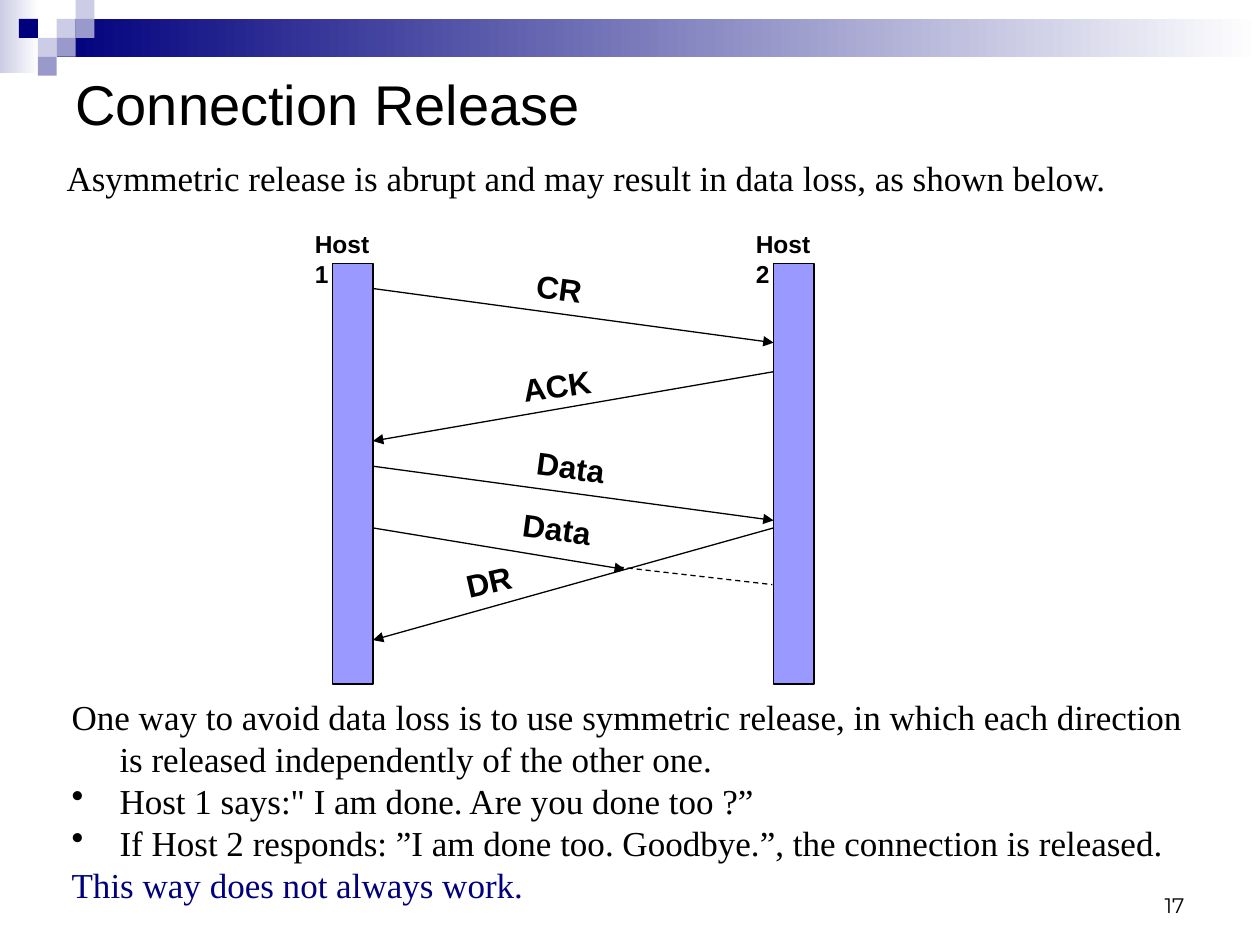
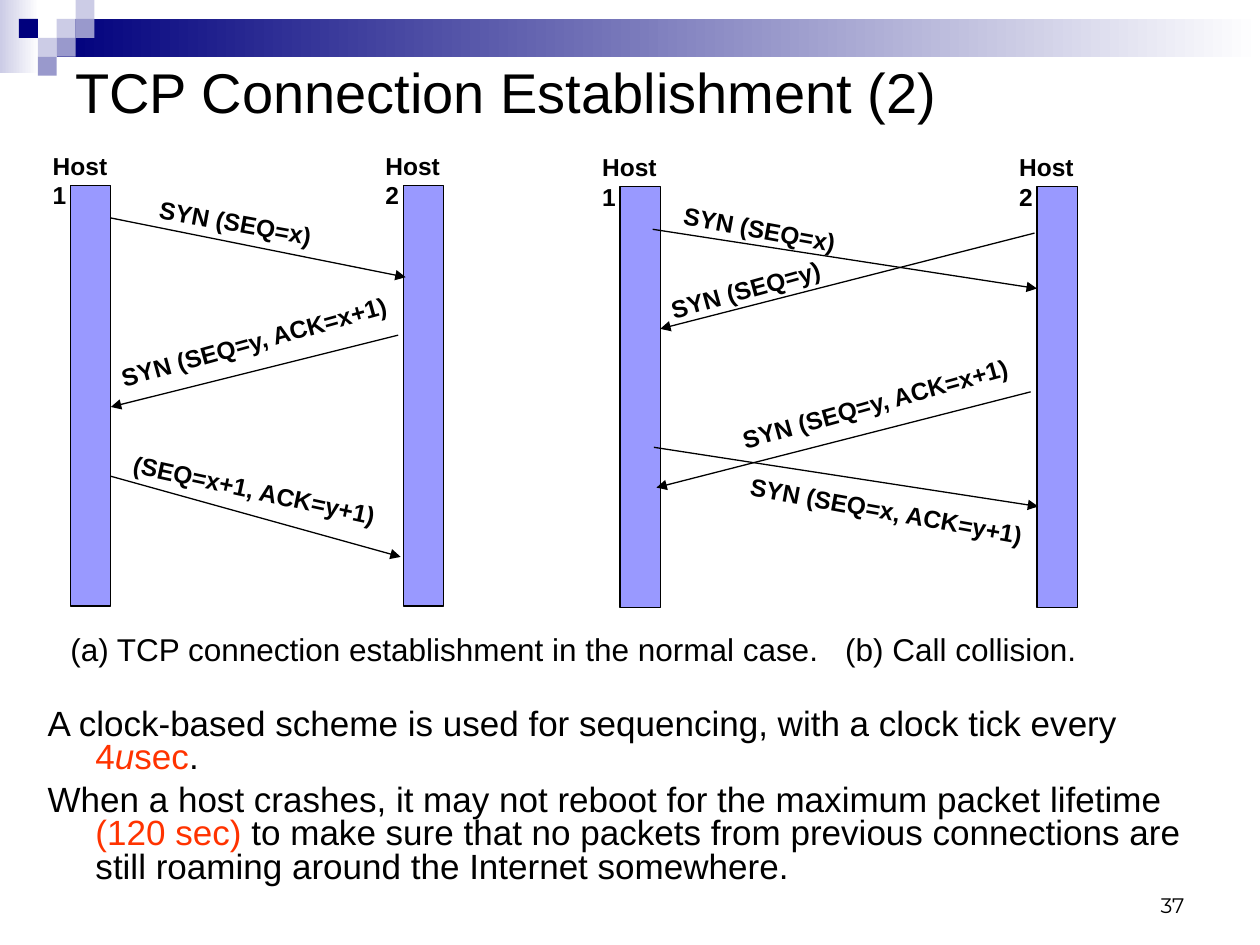
from typing import NamedTuple

from lxml.etree import SubElement
from pptx import Presentation
from pptx.dml.color import RGBColor
from pptx.enum.dml import MSO_LINE
from pptx.enum.shapes import MSO_CONNECTOR, MSO_SHAPE
from pptx.enum.text import MSO_ANCHOR, PP_ALIGN
from pptx.oxml.ns import qn
from pptx.util import Emu, Pt

SCALE = 9144  # EMU in one px, 100 px to the inch
CELL = 15
BAR_W, BAR_H = 32, 334
INDENT = 38
COLORS = {
    "black": "000000", "white": "FFFFFF", "navy": "00007D", "pale": "CCCCE6",
    "mid": "9999CC", "bar": "9999FF", "red": "FF3300",
}


class Box(NamedTuple):
    left: int
    top: int
    width: int
    height: int


class Font(NamedTuple):
    name: str
    size: int
    bold: bool = False


class Run(NamedTuple):
    text: str
    color: str = "black"
    slant: bool = False


class Para(NamedTuple):
    runs: list[Run]
    hang: bool = False
    bullet: str = ""
    tab: int = 0
    space: float = 0
    before: int = 0


class Host(NamedTuple):
    name: str
    left: int
    top: int


class Arrow(NamedTuple):
    start: tuple[int, int]
    end: tuple[int, int]
    dashed: bool = False


class Label(NamedTuple):
    text: str
    box: Box
    tilt: float


class Cell(NamedTuple):
    col: int
    row: int
    color: str


TITLE = Font("Arial", 32)
NUMBER = Font("Montserrat", 12)
SERIF = Font("Times New Roman", 20)
BODY = Font("Arial", 20)
CAPTION = Font("Arial", 18)
SMALL = Font("Arial", 14, True)
LARGE = Font("Arial", 18, True)

CELLS = [
    Cell(3, 1, "pale"), Cell(4, 0, "pale"), Cell(4, 1, "mid"), Cell(2, 2, "pale"),
    Cell(1, 1, "navy"), Cell(3, 2, "mid"), Cell(2, 3, "mid"),
]


def px(value: float) -> Emu:
    return Emu(round(value * SCALE))


def rgb(color: str) -> RGBColor:
    return RGBColor.from_string(COLORS[color])


def add_rect(slide, box: Box, color: str, fade: bool = False, edge: bool = False) -> None:
    shape = slide.shapes.add_shape(MSO_SHAPE.RECTANGLE, *map(px, box))
    shape.shadow.inherit = False
    if fade:
        shape.fill.gradient()
        shape.fill.gradient_angle = 0
        for stop, place, tone in zip(shape.fill.gradient_stops, (0, 1), (color, "white")):
            stop.position = place
            stop.color.rgb = rgb(tone)
    else:
        shape.fill.solid()
        shape.fill.fore_color.rgb = rgb(color)
    if edge:
        shape.line.color.rgb = rgb("black")
        shape.line.width = Pt(0.75)
    else:
        shape.line.fill.background()


def set_para(line, para: Para, font: Font, align: PP_ALIGN) -> None:
    # Indents, bullets and tabs
    props = line._p.get_or_add_pPr()
    if para.hang:
        props.set("marL", str(px(INDENT)))
        props.set("indent", str(-px(INDENT)))
    if para.bullet:
        tone = SubElement(props, qn("a:buClr"))
        SubElement(tone, qn("a:srgbClr"), val=COLORS["black"])
        SubElement(props, qn("a:buChar"), char=para.bullet)
    if para.tab:
        stops = SubElement(props, qn("a:tabLst"))
        SubElement(stops, qn("a:tab"), pos=str(px(para.tab)), algn="l")
    line.alignment = align
    if para.space:
        line.line_spacing = para.space
    if para.before:
        line.space_before = Pt(para.before)
    # Text and its look
    for item in para.runs:
        run = line.add_run()
        run.text = item.text
        run.font.name = font.name
        run.font.size = Pt(font.size)
        run.font.bold = font.bold
        run.font.italic = item.slant
        run.font.color.rgb = rgb(item.color)


def add_text(slide, box: Box, paras: list[Para], font: Font, wrap: bool = True,
             anchor: MSO_ANCHOR = MSO_ANCHOR.TOP, align: PP_ALIGN = PP_ALIGN.LEFT,
             tilt: float = 0) -> None:
    shape = slide.shapes.add_textbox(*map(px, box))
    shape.rotation = tilt % 360
    frame = shape.text_frame
    frame.word_wrap = wrap
    frame.vertical_anchor = anchor
    for index, para in enumerate(paras):
        line = frame.add_paragraph() if index else frame.paragraphs[0]
        set_para(line, para, font, align)


def plain(text: str) -> list[Para]:
    return [Para([Run(text)])]


def add_host(slide, host: Host) -> None:
    add_rect(slide, Box(host.left, host.top, BAR_W, BAR_H), "bar", edge=True)
    add_text(slide, Box(host.left - 24, host.top - 32, 79, 34), plain(host.name), SMALL,
             wrap=False)


def add_arrow(slide, arrow: Arrow) -> None:
    line = slide.shapes.add_connector(
        MSO_CONNECTOR.STRAIGHT, *map(px, arrow.start + arrow.end))
    line.line.color.rgb = rgb("black")
    line.line.width = Pt(0.75)
    if arrow.dashed:
        line.line.dash_style = MSO_LINE.DASH
    else:
        SubElement(line.line._get_or_add_ln(), qn("a:tailEnd"), type="triangle")
    SubElement(line._element.spPr, qn("a:effectLst"))


def draw_flow(slide, hosts: list[Host], arrows: list[Arrow], labels: list[Label],
              font: Font) -> None:
    for host in hosts:
        add_host(slide, host)
    for arrow in arrows:
        add_arrow(slide, arrow)
    for label in labels:
        add_text(slide, label.box, plain(label.text), font, wrap=label.tilt > 0,
                 tilt=label.tilt)


def start_slide(deck, title: str, box: Box, number: int):
    slide = deck.slides.add_slide(deck.slide_layouts[6])
    # Top band and squares
    add_rect(slide, Box(0, 0, 31, 58), "pale", fade=True)
    add_rect(slide, Box(45, 15, 955, 30), "navy", fade=True)
    for cell in CELLS:
        add_rect(slide, Box(cell.col * CELL, cell.row * CELL, CELL, CELL), cell.color)
    # Page number and title
    add_text(slide, Box(717, 683, 233, 50), plain(str(number)), NUMBER,
             anchor=MSO_ANCHOR.BOTTOM, align=PP_ALIGN.RIGHT)
    add_text(slide, box, plain(title), TITLE, anchor=MSO_ANCHOR.MIDDLE)
    return slide


def draw_release(deck) -> None:
    slide = start_slide(deck, "Connection Release", Box(50, 50, 832, 64), 17)
    add_text(slide, Box(43, 119, 881, 44), plain(
        "Asymmetric release is abrupt and may result in data loss, as shown below."), SERIF)
    # Message flow
    draw_flow(
        slide,
        [Host("Host 1", 264, 209), Host("Host 2", 614, 209)],
        [
            Arrow((296, 229), (614, 272)),
            Arrow((614, 295), (296, 350)),
            Arrow((296, 370), (614, 413)),
            Arrow((614, 419), (296, 508)),
            Arrow((296, 419), (496, 452)),
            Arrow((491, 450), (613, 464), dashed=True),
        ],
        [
            Label("CR", Box(416, 209, 63, 40), 7.5),
            Label("ACK", Box(405, 286, 74, 40), -8.4),
            Label("Data", Box(416, 352, 94, 40), 7.5),
            Label("DR", Box(360, 441, 56, 40), -12.9),
            Label("Data", Box(405, 401, 94, 40), 7.5),
        ],
        LARGE,
    )
    # Remarks
    add_text(slide, Box(47, 547, 908, 177), [
        Para([Run("One way to avoid data loss is to use symmetric release, in which each "
                  "direction is released independently of the other one.")], hang=True),
        Para([Run('Host 1 says:" I am done. Are you done too ?”')], hang=True, bullet="•"),
        Para([Run("If Host 2 responds: ”I am done too. Goodbye.”, the connection is "
                  "released.")], hang=True, bullet="•"),
        Para([Run("This way does not always work.", "navy")], hang=True),
    ], SERIF)


def draw_setup(deck) -> None:
    slide = start_slide(deck, "TCP Connection Establishment (2)", Box(50, 24, 900, 97), 37)
    # Normal case
    draw_flow(
        slide,
        [Host("Host 1", 56, 147), Host("Host 2", 320, 147)],
        [
            Arrow((88, 173), (322, 220)),
            Arrow((316, 266), (88, 323)),
            Arrow((88, 378), (318, 442)),
        ],
        [
            Label("SYN (SEQ=x)", Box(116, 161, 153, 34), 10.4),
            Label("SYN (SEQ=y, ACK=x+1)", Box(83, 254, 239, 34), -15.5),
            Label("(SEQ=x+1, ACK=y+1)", Box(94, 374, 234, 34), 12.2),
        ],
        SMALL,
    )
    # Call collision
    draw_flow(
        slide,
        [Host("Host 1", 492, 148), Host("Host 2", 823, 148)],
        [
            Arrow((518, 182), (823, 229)),
            Arrow((821, 185), (524, 261)),
            Arrow((818, 311), (521, 387)),
            Arrow((519, 355), (824, 402)),
        ],
        [
            Label("SYN (SEQ=x)", Box(532, 166, 153, 34), 10.4),
            Label("SYN (SEQ=y)", Box(521, 213, 142, 34), -15.5),
            Label("SYN (SEQ=y, ACK=x+1)", Box(576, 303, 239, 34), -15.5),
            Label("SYN (SEQ=x, ACK=y+1)", Box(584, 391, 264, 34), 10.4),
        ],
        SMALL,
    )
    # Caption and remarks
    add_text(slide, Box(46, 495, 840, 40), [Para([Run(
        "(a) TCP connection establishment in the normal case.\t(b) Call collision.")],
        tab=615)], CAPTION)
    add_text(slide, Box(28, 558, 946, 164), [
        Para([
            Run("A clock-based scheme is used for sequencing, with a clock tick every "),
            Run("4", "red"), Run("u", "red", True), Run("sec", "red"), Run("."),
        ], hang=True, space=0.8),
        Para([
            Run("When a host crashes, it may not reboot for the maximum packet lifetime "),
            Run("(120 sec)", "red"),
            Run(" to make sure that no packets from previous connections are still "
                "roaming around the Internet somewhere."),
        ], hang=True, space=0.8, before=5),
    ], BODY)


def main() -> None:
    deck = Presentation()
    deck.slide_width, deck.slide_height = px(1000), px(750)
    draw_release(deck)
    draw_setup(deck)
    deck.save("out.pptx")


if __name__ == "__main__":
    main()
